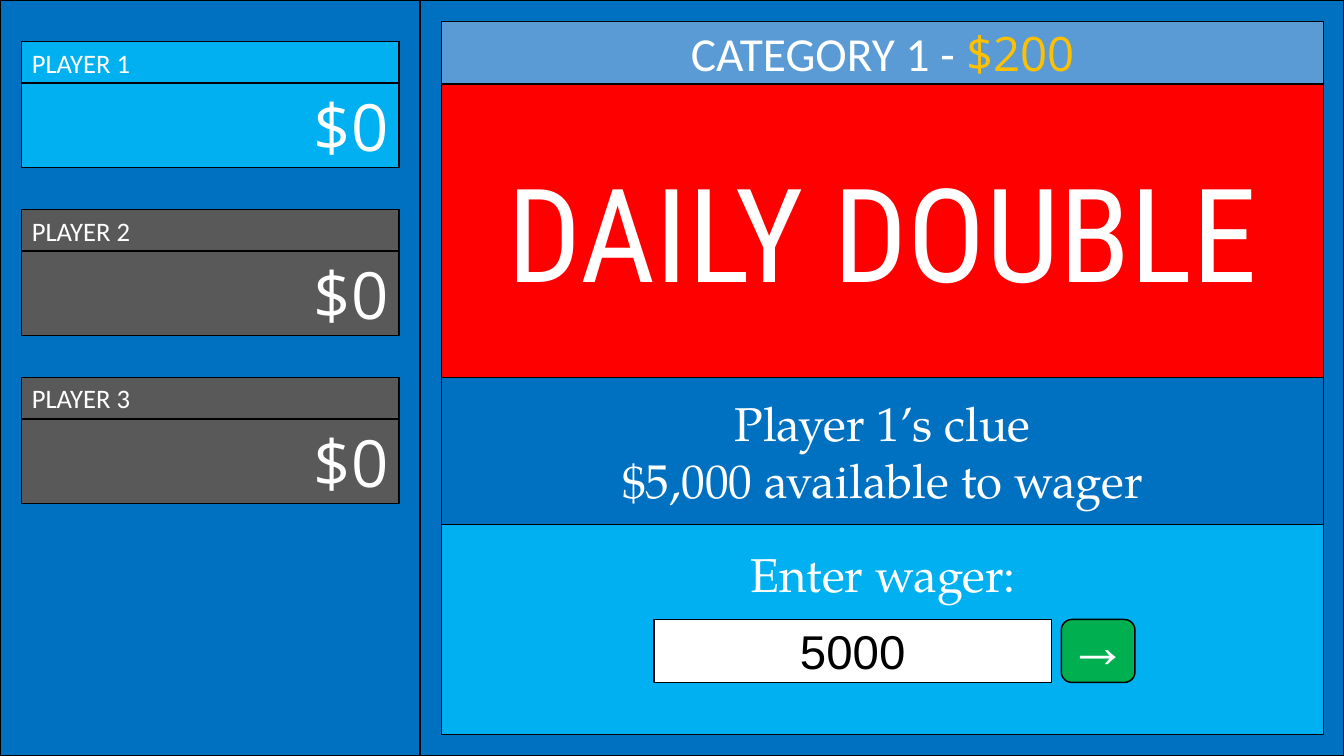
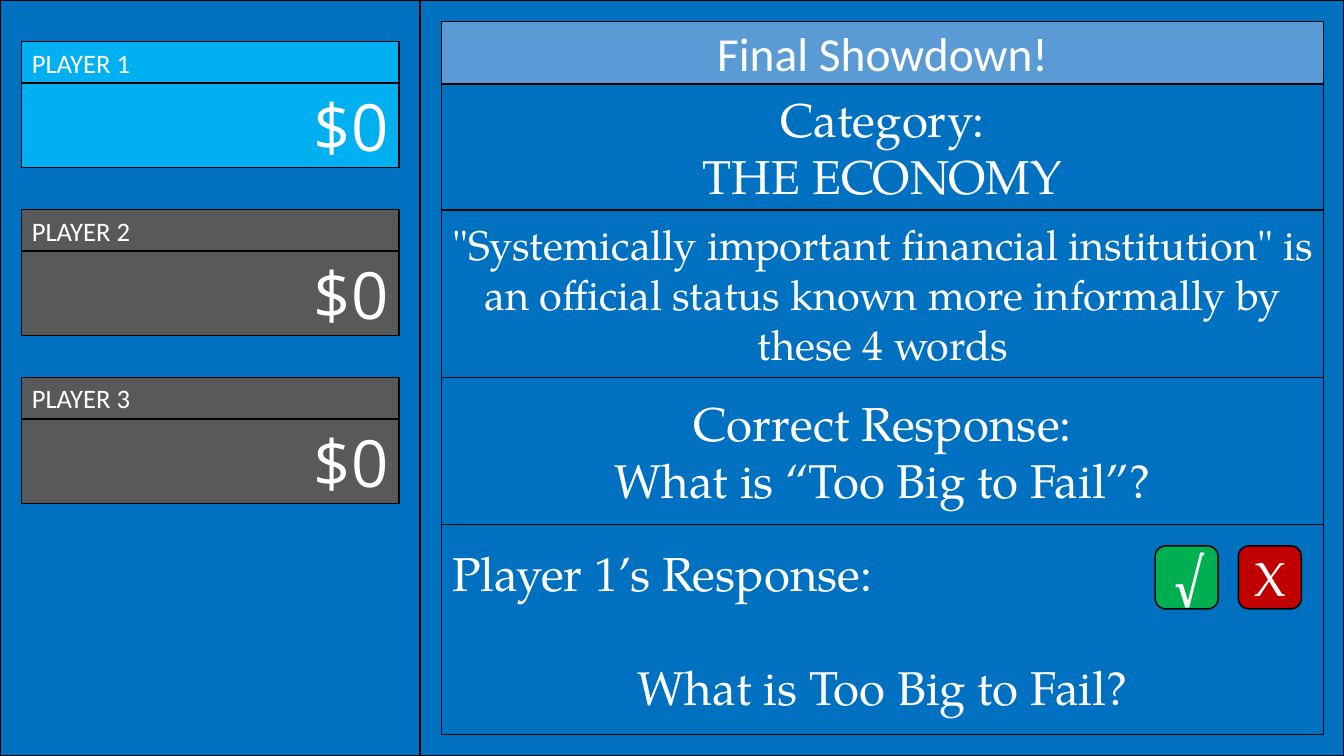
"""Build two quiz-board slides: a daily double wager and a final round response."""
import dataclasses

import pptx
import pptx.dml.color
import pptx.enum.shapes
import pptx.enum.text
import pptx.util

Inches = pptx.util.Inches
Pt = pptx.util.Pt
Align = pptx.enum.text.PP_ALIGN
Anchor = pptx.enum.text.MSO_ANCHOR
Shape = pptx.enum.shapes.MSO_SHAPE


def rgb(value):
    return pptx.dml.color.RGBColor.from_string(value)


@dataclasses.dataclass(frozen=True)
class Theme:
    board: str = "0070C0"
    active: str = "00B0F0"
    idle: str = "595959"
    header: str = "5B9BD5"
    alert: str = "FF0000"
    right: str = "00B050"
    wrong: str = "C00000"
    gold: str = "FFC000"
    white: str = "FFFFFF"
    black: str = "000000"
    name: tuple = ("Calibri", 18)
    score: tuple = ("Open Sans", 44)
    title: tuple = ("Calibri", 32)
    banner: tuple = ("Roboto Condensed", 88)
    body: tuple = ("TeX Gyre Pagella", 32)
    clue: tuple = ("TeX Gyre Pagella", 28)
    entry: tuple = ("Arial", 32)


theme = Theme()


def box(slide, place, fill, text="", style=theme.body, align=Align.CENTER,
        color=theme.white, kind=Shape.RECTANGLE):
    left, top, width, height = [Inches(length) for length in place]
    if kind is None:
        shape = slide.shapes.title
        shape.left, shape.top, shape.width, shape.height = left, top, width, height
        slide.shapes.element.append(shape.element)
    else:
        shape = slide.shapes.add_shape(kind, left, top, width, height)
        shape.shadow.inherit = False
    shape.fill.solid()
    shape.fill.fore_color.rgb = rgb(fill)
    shape.line.color.rgb = rgb(theme.black)
    shape.line.width = Pt(1)
    frame = shape.text_frame
    frame.word_wrap = True
    frame.auto_size = pptx.enum.text.MSO_AUTO_SIZE.NONE
    frame.vertical_anchor = Anchor.MIDDLE
    frame.text = text
    for paragraph in frame.paragraphs:
        paragraph.alignment = align
        paragraph.font.name, size = style
        paragraph.font.size = Pt(size)
        paragraph.font.color.rgb = rgb(color)
    return shape


presentation = pptx.Presentation()
presentation.slide_width = Inches(12.6)
presentation.slide_height = Inches(7.09)

board_left, board_width = 4.14, 8.27
wager_rows = [
    (2.75, theme.alert, "DAILY DOUBLE", theme.banner),
    (1.38, theme.board, "Player 1’s clue\n$5,000 available to wager", theme.body),
    (1.97, theme.active, "Enter wager:", theme.body),
]
final_rows = [
    (1.18, theme.board, "Category:\nTHE ECONOMY", theme.body),
    (1.57, theme.board, '"Systemically important financial institution" is an official '
     "status known more informally by these 4 words", theme.clue),
    (1.38, theme.board, "Correct Response:\nWhat is “Too Big to Fail”?", theme.body),
    (1.97, theme.board, "Player 1’s Response:\nWhat is Too Big to Fail?", theme.body),
]

slides, last_rows = [], []
for title, rows in [("CATEGORY 1 - ", wager_rows), ("Final Showdown!", final_rows)]:
    slide = presentation.slides.add_slide(presentation.slide_layouts[5])
    for left, width in [(0, 3.94), (3.94, 8.66)]:
        box(slide, (left, 0, width, 7.09), theme.board)
    for player in range(3):
        fill = theme.idle if player else theme.active
        top = 0.39 + 1.575 * player
        box(slide, (0.2, top, 3.54, 0.39), fill, f"PLAYER {player + 1}", theme.name, Align.LEFT)
        box(slide, (0.2, top + 0.39, 3.54, 0.79), fill, "$0", theme.score, Align.RIGHT)
    box(slide, (board_left, 0.2, board_width, 0.59), theme.header, title, theme.title, kind=None)
    top = 0.79
    for height, fill, text, style in rows:
        row = box(slide, (board_left, top, board_width, height), fill, text, style)
        top += height
    slides.append(slide)
    last_rows.append(row)

wager_slide, final_slide = slides
wager_row, response_row = last_rows

amount = wager_slide.shapes.title.text_frame.paragraphs[0].add_run()
amount.text = "$200"
amount.font.name = theme.score[0]
amount.font.color.rgb = rgb(theme.gold)

wager_row.text_frame.vertical_anchor = Anchor.TOP
wager_row.text_frame.margin_top = Inches(0.19)
box(wager_slide, (9.95, 5.81, 0.69, 0.59), theme.right, "→", kind=Shape.ROUNDED_RECTANGLE)
box(wager_slide, (6.13, 5.81, 3.73, 0.59), theme.white, "5000", theme.entry, color=theme.black)

response_label = response_row.text_frame.paragraphs[0]
response_label.alignment = Align.LEFT
response_label.space_after = Pt(38)
for left, fill, mark in [(10.83, theme.right, "√"), (11.61, theme.wrong, "X")]:
    box(final_slide, (left, 5.12, 0.59, 0.59), fill, mark, kind=Shape.ROUNDED_RECTANGLE)

presentation.save("out.pptx")
